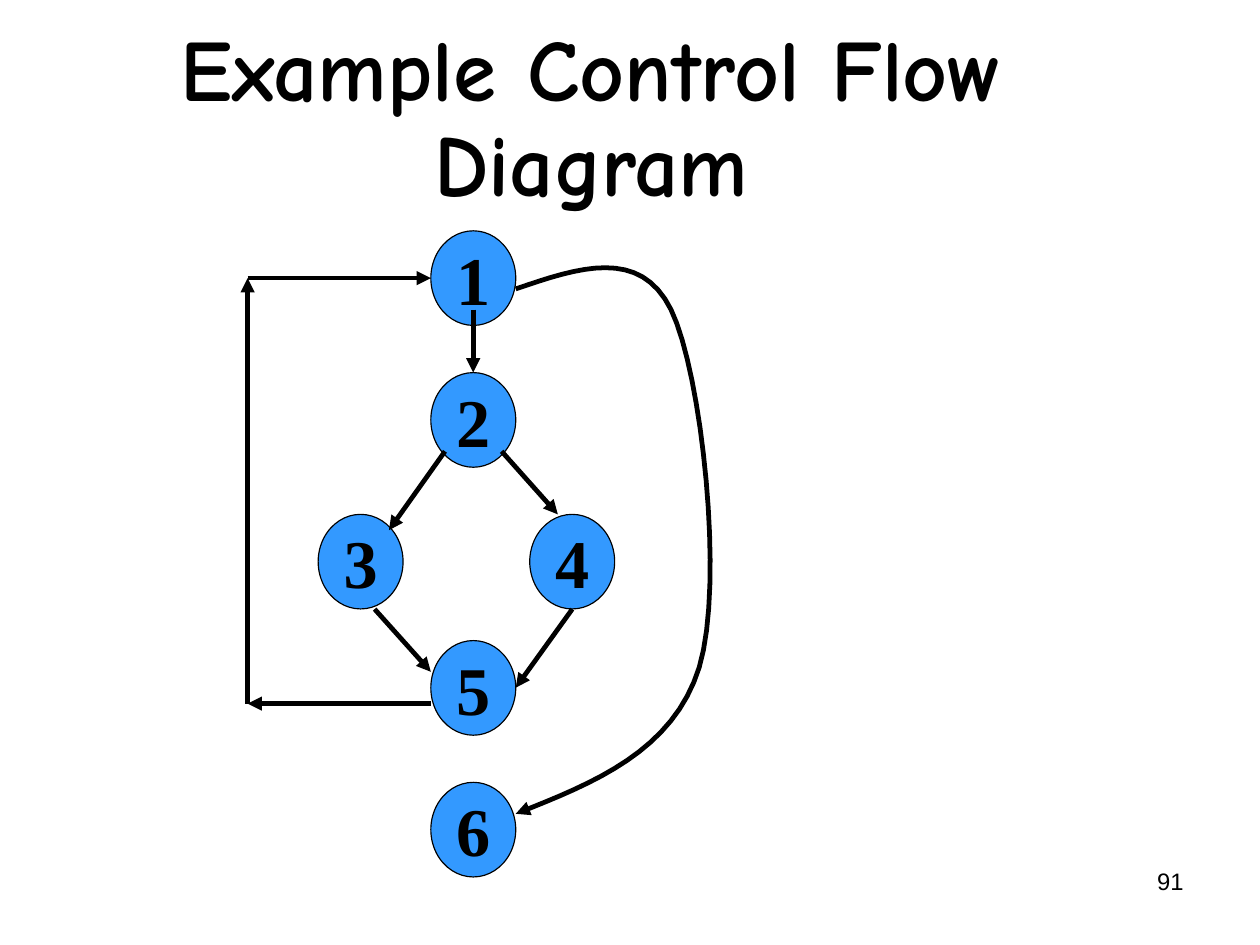
from lxml.etree import SubElement
from pptx import Presentation
from pptx.dml.color import RGBColor
from pptx.enum.shapes import MSO_CONNECTOR, MSO_SHAPE
from pptx.enum.text import MSO_ANCHOR, MSO_AUTO_SIZE, PP_ALIGN
from pptx.oxml.ns import qn
from pptx.util import Pt

COLORS = {"ink": "000000", "node": "3399FF", "background": "FFFFFF"}
NODE_WIDTH, NODE_HEIGHT = 53.5, 59.6
CENTER_LEFT = 271.4

# Left and top of each numbered node
NODES = {
    "1": (CENTER_LEFT, 145.4),
    "2": (CENTER_LEFT, 234.7),
    "3": (200.4, 324),
    "4": (333.7, 324),
    "5": (CENTER_LEFT, 403.5),
    "6": (CENTER_LEFT, 492.8),
}

# Start and end of each straight arrow
BRANCH_ARROWS = [
    ((298.1, 195), (298.1, 234.7)),
    ((280.3, 284.3), (245, 334)),
    ((316, 284.3), (351.4, 324)),
    ((236, 383.7), (271.4, 423.2)),
    ((360.5, 383.7), (324.9, 433.2)),
]
LOOP_CORNERS = [(271.4, 443.2), (156, 443.2), (156, 175.2), (271.4, 175.2)]

# Cubic curve from node 1 to node 6: two handles and an end per piece
EXIT_START = (324.9, 182)
EXIT_CURVES = [
    ((364.4, 168.5), (403.2, 155.5), (422.7, 195)),
    ((442, 234.7), (456.5, 367.2), (440.5, 420.3)),
    ((424.1, 473), (374.4, 493.2), (324.9, 512.6)),
]
CURVE_STEPS = 16


def color(name):
    return RGBColor.from_string(COLORS[name])


def write_text(shape, text, font_name, size, alignment, bold=False):
    frame = shape.text_frame
    frame.text = text
    frame.auto_size = MSO_AUTO_SIZE.NONE
    frame.margin_left = frame.margin_right = Pt(7.9)
    frame.margin_top = frame.margin_bottom = Pt(4.3)
    paragraph = frame.paragraphs[0]
    paragraph.alignment = alignment
    paragraph.font.name = font_name
    paragraph.font.size = Pt(size)
    paragraph.font.bold = bold
    paragraph.font.color.rgb = color("ink")
    return frame


def add_title(slide, text):
    title = slide.shapes.title
    title.left, title.top, title.width, title.height = Pt(35.2), Pt(26.4), Pt(674.6), Pt(99.2)
    frame = write_text(title, text, "Comic Neue", 55, PP_ALIGN.CENTER, bold=True)
    frame.vertical_anchor = MSO_ANCHOR.MIDDLE
    frame.word_wrap = True
    frame.paragraphs[0].line_spacing = 0.91


def add_page_number(slide, text):
    box = slide.shapes.add_textbox(Pt(568.6), Pt(541.8), Pt(185), Pt(41))
    write_text(box, text, "Arial", 15, PP_ALIGN.RIGHT).word_wrap = True


def add_node(slide, label, left, top):
    node = slide.shapes.add_shape(
        MSO_SHAPE.OVAL, Pt(left), Pt(top), Pt(NODE_WIDTH), Pt(NODE_HEIGHT))
    node.shadow.inherit = False
    node.fill.solid()
    node.fill.fore_color.rgb = color("node")
    node.line.color.rgb = color("ink")
    node.line.width = Pt(0.75)
    frame = write_text(node, label, "Times New Roman", 43, PP_ALIGN.CENTER, bold=True)
    frame.vertical_anchor = MSO_ANCHOR.MIDDLE
    frame.word_wrap = False


def style_arrow(shape):
    shape.line.color.rgb = color("ink")
    shape.line.width = Pt(3)
    line = shape._element.spPr.find(qn("a:ln"))
    SubElement(line, qn("a:tailEnd"), type="triangle")


def add_arrow(slide, start, end):
    arrow = slide.shapes.add_connector(
        MSO_CONNECTOR.STRAIGHT, *(Pt(value) for value in start + end))
    style_arrow(arrow)
    SubElement(arrow._element.spPr, qn("a:effectLst"))


def curve_point(points, t):
    weights = ((1 - t) ** 3, 3 * t * (1 - t) ** 2, 3 * t ** 2 * (1 - t), t ** 3)
    return tuple(
        Pt(sum(weight * point[axis] for weight, point in zip(weights, points)))
        for axis in (0, 1))


def add_curved_arrow(slide, start, curves):
    vertices = []
    piece_start = start
    for curve in curves:
        points = (piece_start, *curve)
        vertices += [curve_point(points, step / CURVE_STEPS)
                     for step in range(1, CURVE_STEPS + 1)]
        piece_start = curve[-1]
    builder = slide.shapes.build_freeform(Pt(start[0]), Pt(start[1]))
    builder.add_line_segments(vertices, close=False)
    arrow = builder.convert_to_shape()
    arrow.shadow.inherit = False
    arrow.fill.background()
    style_arrow(arrow)


def main():
    presentation = Presentation()
    presentation.slide_width, presentation.slide_height = Pt(793.7), Pt(595.28)
    slide = presentation.slides.add_slide(presentation.slide_layouts[5])
    slide.background.fill.solid()
    slide.background.fill.fore_color.rgb = color("background")

    # Title and page number
    add_page_number(slide, "91")
    add_title(slide, "Example Control Flow Diagram")

    # Flow nodes
    for label, (left, top) in NODES.items():
        add_node(slide, label, left, top)

    # Branches, loop back to node 1, and exit to node 6
    for start, end in BRANCH_ARROWS + list(zip(LOOP_CORNERS, LOOP_CORNERS[1:])):
        add_arrow(slide, start, end)
    add_curved_arrow(slide, EXIT_START, EXIT_CURVES)

    presentation.save("out.pptx")


if __name__ == "__main__":
    main()
